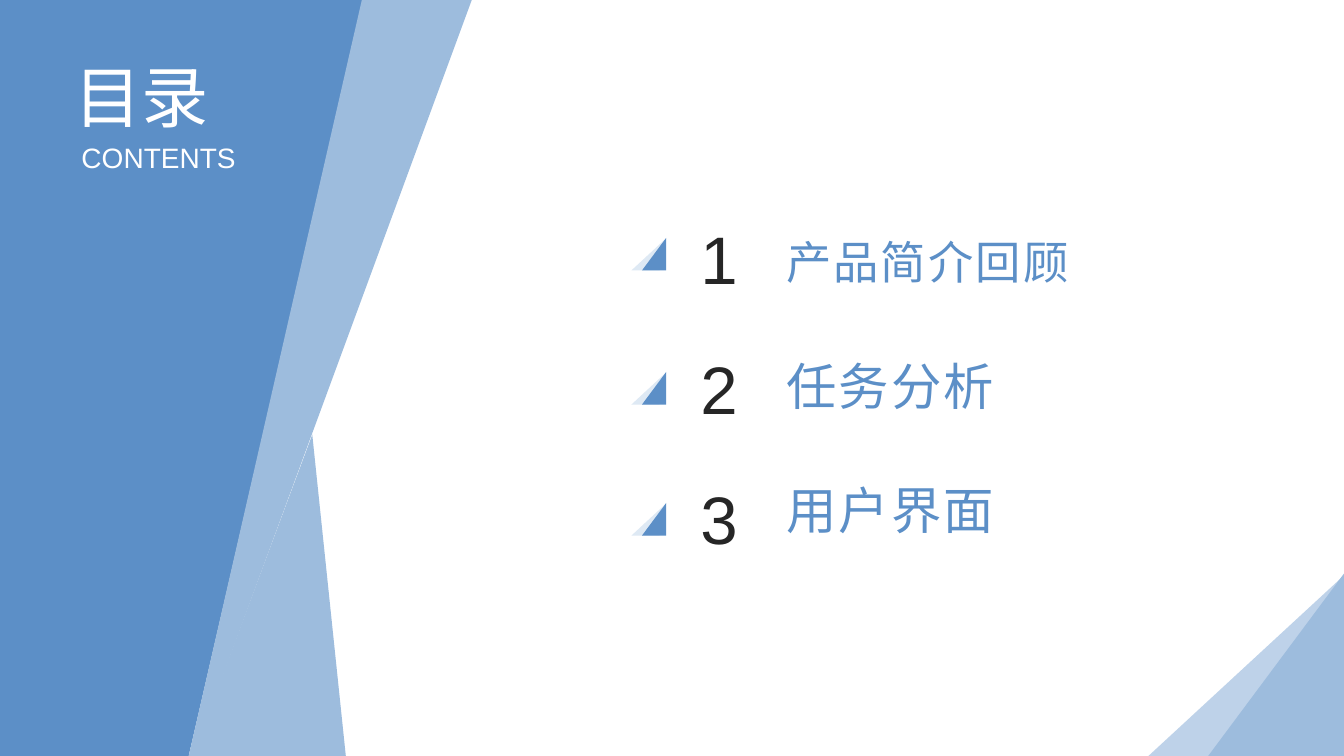
from dataclasses import dataclass
from pptx import Presentation
from pptx.dml.color import RGBColor
from pptx.enum.shapes import MSO_SHAPE as SHAPE
from pptx.enum.text import MSO_ANCHOR as ANCHOR
from pptx.util import Pt


@dataclass(frozen=True)
class Theme:
    font: str = "Arial"
    blue: str = "5C8FC7"
    mid: str = "9DBCDD"
    light: str = "BED2E9"
    pale: str = "DEE9F4"
    ink: str = "262626"
    white: str = "FFFFFF"
    title: float = 48
    subtitle: float = 20
    entry: float = 36
    long_entry: float = 32.4


T = Theme()
W, H = 960, 540
TOPICS = [
    ("1", 151.9, 169.9, "产品简介回顾", 154.1, T.long_entry),
    ("2", 244.8, 265.7, "任务分析", 242.6, T.entry),
    ("3", 337.7, 359.3, "用户界面", 331.2, T.entry),
]


def paint(shape, color):
    shape.shadow.inherit = False
    shape.fill.solid()
    shape.fill.fore_color.rgb = RGBColor.from_string(color)
    shape.line.fill.background()


def add_polygon(s, points, color):
    start, *rest = [(Pt(x), Pt(y)) for x, y in points]
    builder = s.shapes.build_freeform(*start)
    builder.add_line_segments(rest, close=True)
    paint(builder.convert_to_shape(), color)


def add_text(s, box, text, size, color, anchor=ANCHOR.TOP, spacing=0):
    tf = s.shapes.add_textbox(*map(Pt, box)).text_frame
    for name, value in {"word_wrap": True, "margin_right": 0,
                        "vertical_anchor": anchor}.items():
        setattr(tf, name, value)
    r = tf.paragraphs[0].add_run()
    r.text = text
    for name, value in {"name": T.font, "size": Pt(size)}.items():
        setattr(r.font, name, value)
    r.font.color.rgb = RGBColor.from_string(color)
    if spacing:
        r._r.get_or_add_rPr().set("spc", str(round(spacing * 100)))


def add_fold(s, box, back, front):
    x, y, w, h = box
    add_polygon(s, [(x + w, y + 0.01 * h), (x + 0.72 * w, y + h),
                    (x - 0.44 * w, y + h)], back)
    triangle = s.shapes.add_shape(SHAPE.ISOSCELES_TRIANGLE, *map(Pt, box))
    triangle.adjustments[0] = 1
    paint(triangle, front)


def add_side_panel(s, box):
    x, y, w, h = box
    bottom = y + h
    add_polygon(s, [(x, y), (x + 0.77 * w, y), (x + 0.4 * w, bottom),
                    (x, bottom)], T.blue)
    add_polygon(s, [(x + w, y), (x + 0.41 * w, bottom),
                    (x + 0.4 * w, bottom), (x + 0.767 * w, y)], T.mid)
    add_polygon(s, [(x + 0.662 * w, y + 0.575 * h), (x + 0.733 * w, bottom),
                    (x + 0.408 * w, bottom)], T.mid)
    add_text(s, (x + 46.1, y + 36, 112, 65.5), "目录", T.title, T.white)
    add_text(s, (x + 51.1, y + 96.5, 126, 31.7), "CONTENTS",
             T.subtitle, T.white)


def add_topics(s, left):
    for number, number_top, mark_top, label, label_top, size in TOPICS:
        add_fold(s, (left, mark_top, 17.3, 23.3), T.pale, T.blue)
        add_text(s, (left + 34.6, number_top, 41.8, 65.5), number,
                 T.title, T.ink)
        add_text(s, (left + 95.8, label_top, 226.8, 65.5), label,
                 size, T.blue, ANCHOR.MIDDLE, 1.5)


def main():
    prs = Presentation()
    prs.slide_width, prs.slide_height = Pt(W), Pt(H)
    s = prs.slides.add_slide(prs.slide_layouts[6])
    add_fold(s, (W - 97, H - 130.3, 97, 130.3), T.light, T.mid)
    add_side_panel(s, (0, 0, 337, H))
    add_topics(s, 458.6)
    prs.save("out.pptx")


if __name__ == "__main__":
    main()
